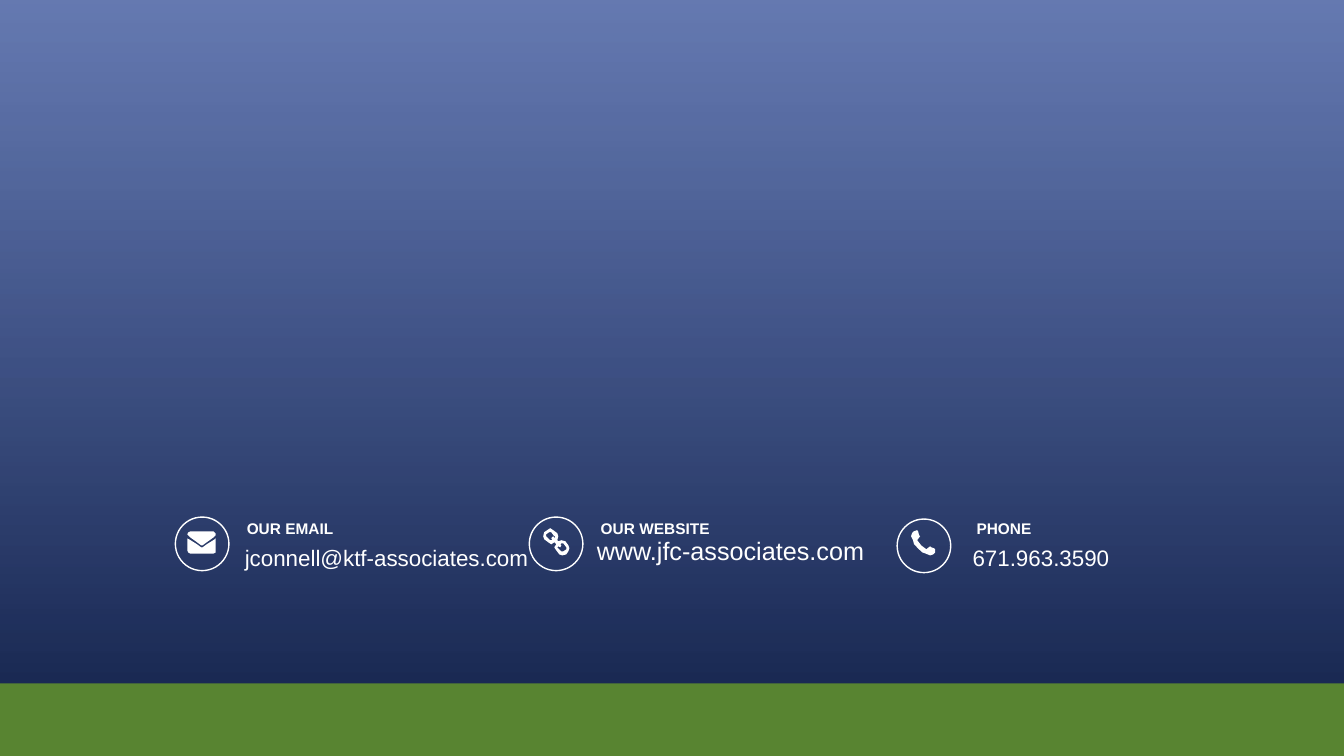
from dataclasses import dataclass

from lxml import etree
from pptx import Presentation
from pptx.dml.color import RGBColor
from pptx.enum.shapes import MSO_SHAPE
from pptx.enum.text import MSO_ANCHOR
from pptx.oxml.ns import qn
from pptx.shapes.autoshape import Shape
from pptx.slide import Slide
from pptx.util import Cm, Pt

RECTANGLE = MSO_SHAPE.RECTANGLE
OVAL = MSO_SHAPE.OVAL
BOTTOM = MSO_ANCHOR.BOTTOM
MIDDLE = MSO_ANCHOR.MIDDLE

WIDTH, HEIGHT = 33.87, 19.05
BAND_TOP = 17.22
CIRCLE_SIZE = 1.35
TEXT_WIDTH = 8
LABEL_TOP, LABEL_HEIGHT = 12.65, 0.91
ICON_SCALE = Cm(2.54) / 100
WHITE = "FFFFFF"

Contour = list[tuple[int, int]]

ENVELOPE: list[Contour] = [
    [(26, 6), (19, 11), (15, 14), (14, 14), (10, 11), (3, 6), (0, 3),
     (1, 1), (3, 0), (26, 0), (28, 2), (28, 4)],
    [(28, 19), (28, 21), (26, 22), (3, 22), (1, 21), (0, 19), (0, 7),
     (2, 8), (10, 13), (14, 16), (15, 16), (19, 13), (27, 8), (28, 7)],
]
CHAIN: list[Contour] = [
    [(25, 23), (23, 26), (19, 27), (16, 26), (13, 22), (11, 19), (13, 16),
     (11, 14), (8, 16), (5, 14), (1, 11), (0, 8), (1, 4), (4, 2), (7, 0),
     (10, 2), (14, 5), (15, 8), (14, 12), (15, 13), (18, 12), (22, 13),
     (25, 17), (26, 20)],
    [(11, 8), (8, 4), (6, 4), (3, 6), (3, 8), (7, 12), (9, 12), (8, 10),
     (10, 8), (11, 10), (12, 8)],
    [(23, 19), (20, 15), (18, 15), (17, 16), (18, 17), (17, 19), (15, 18),
     (14, 19), (15, 20), (18, 23), (20, 23), (23, 21)],
]
HANDSET: list[Contour] = [
    [(24, 22), (22, 24), (19, 25), (14, 23), (11, 22), (7, 18), (3, 14),
     (2, 10), (0, 6), (1, 3), (3, 1), (6, 0), (7, 1), (8, 5), (9, 6),
     (6, 10), (7, 11), (10, 15), (14, 18), (15, 19), (19, 16), (20, 17),
     (23, 18), (24, 19)],
]


@dataclass
class Contact:
    label: str
    value: str
    circle_left: float
    circle_top: float
    icon: list[Contour]
    icon_left: float
    icon_top: float
    label_left: float
    value_left: float
    value_top: float = 13.31
    value_height: float = 1.12
    value_size: int = 16
    value_spacing: float = 1.5


CONTACTS = [
    Contact("OUR EMAIL", "jconnell@ktf-associates.com", 4.42, 13.03,
            ENVELOPE, 4.72, 13.39, 6.22, 5.99),
    Contact("OUR WEBSITE", "www.jfc-associates.com", 13.34, 13.03,
            CHAIN, 13.69, 13.31, 15.14, 14.86, 13.39, 0.97, 18, 1.0),
    Contact("PHONE", "671.963.3590", 22.61, 13.08,
            HANDSET, 22.96, 13.36, 24.61, 24.33),
]


def color(value: str) -> RGBColor:
    return RGBColor.from_string(value)


def add_panel(slide: Slide, top: float, height: float) -> Shape:
    shape = slide.shapes.add_shape(RECTANGLE, 0, Cm(top), Cm(WIDTH), Cm(height))
    shape.shadow.inherit = False
    shape.line.fill.background()
    return shape


def add_backdrop(slide: Slide) -> None:
    fill = add_panel(slide, 0, HEIGHT).fill
    fill.gradient()
    fill.gradient_angle = 270
    for stop, value in zip(fill.gradient_stops, ("23408F", "112048")):
        stop.color.rgb = color(value)
    first_color = fill._xPr.find(".//" + qn("a:srgbClr"))
    etree.SubElement(first_color, qn("a:alpha"), val="70000")


def add_band(slide: Slide) -> None:
    band = add_panel(slide, BAND_TOP, HEIGHT - BAND_TOP)
    band.fill.solid()
    band.fill.fore_color.rgb = color("588431")


def add_circle(slide: Slide, left: float, top: float) -> None:
    circle = slide.shapes.add_shape(
        OVAL, Cm(left), Cm(top), Cm(CIRCLE_SIZE), Cm(CIRCLE_SIZE))
    circle.shadow.inherit = False
    circle.fill.background()
    circle.line.color.rgb = color(WHITE)
    circle.line.width = Pt(1)


def add_icon(slide: Slide, contours: list[Contour], left: float, top: float) -> None:
    builder = slide.shapes.build_freeform(*contours[0][0], scale=ICON_SCALE)
    builder.add_line_segments(contours[0][1:], close=True)
    for contour in contours[1:]:
        builder.move_to(*contour[0])
        builder.add_line_segments(contour[1:], close=True)
    icon = builder.convert_to_shape(Cm(left), Cm(top))
    icon.shadow.inherit = False
    icon.fill.solid()
    icon.fill.fore_color.rgb = color(WHITE)
    icon.line.fill.background()


def add_text(slide: Slide, text: str, left: float, top: float, height: float,
             size: int, spacing: float, anchor: MSO_ANCHOR,
             margins: tuple[float, float], bold: bool = False) -> None:
    box = slide.shapes.add_textbox(Cm(left), Cm(top), Cm(TEXT_WIDTH), Cm(height))
    frame = box.text_frame
    frame.word_wrap = True
    frame.vertical_anchor = anchor
    frame.margin_left = frame.margin_right = Cm(margins[0])
    frame.margin_top = frame.margin_bottom = Cm(margins[1])
    frame.text = text
    paragraph = frame.paragraphs[0]
    paragraph.line_spacing = spacing
    font = paragraph.runs[0].font
    font.name = "Arial"
    font.size = Pt(size)
    font.bold = bold
    font.color.rgb = color(WHITE)


def add_contact(slide: Slide, contact: Contact) -> None:
    add_circle(slide, contact.circle_left, contact.circle_top)
    add_icon(slide, contact.icon, contact.icon_left, contact.icon_top)
    add_text(slide, contact.label, contact.label_left, LABEL_TOP, LABEL_HEIGHT,
             11, 1.25, BOTTOM, (0, 0), bold=True)
    add_text(slide, contact.value, contact.value_left, contact.value_top,
             contact.value_height, contact.value_size, contact.value_spacing,
             MIDDLE, (0.18, 0.1))


def main() -> None:
    presentation = Presentation()
    presentation.slide_width = Cm(WIDTH)
    presentation.slide_height = Cm(HEIGHT)
    slide = presentation.slides.add_slide(presentation.slide_layouts[6])
    add_backdrop(slide)
    add_band(slide)
    for contact in CONTACTS:
        add_contact(slide, contact)
    presentation.save("out.pptx")


if __name__ == "__main__":
    main()
